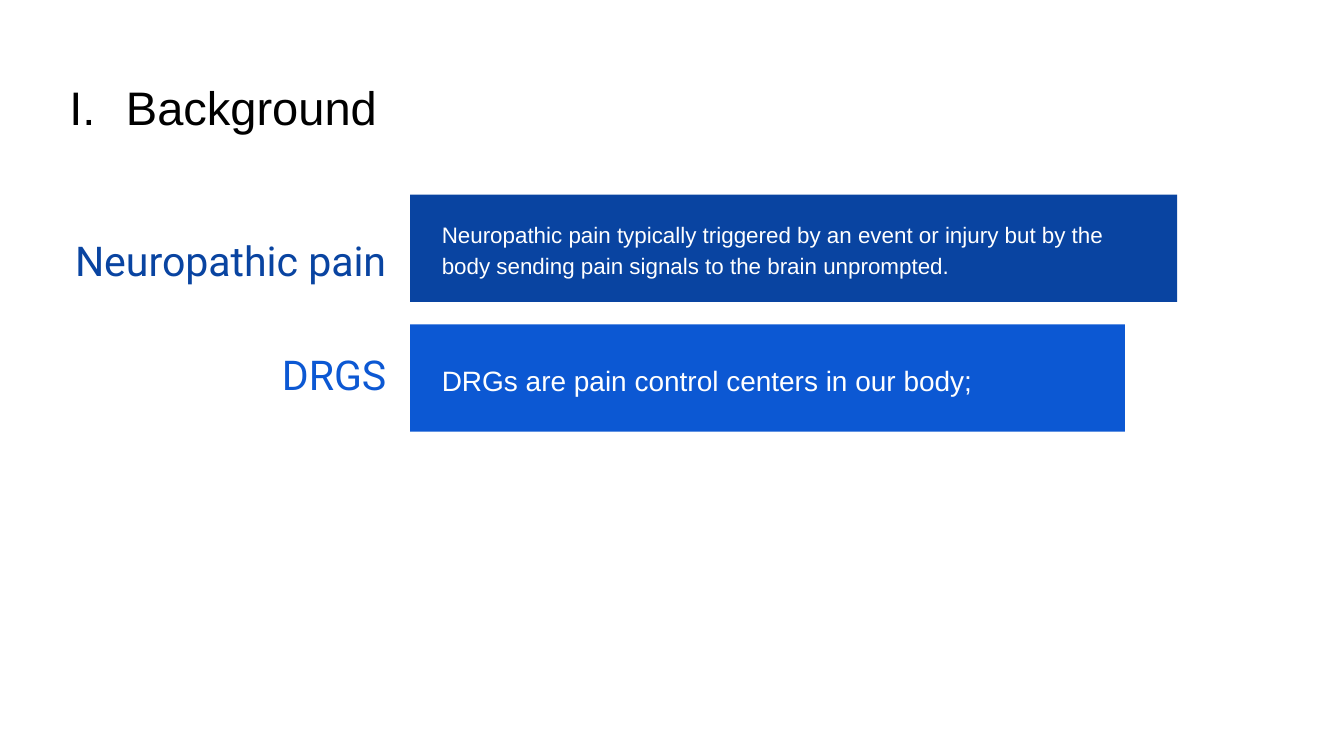
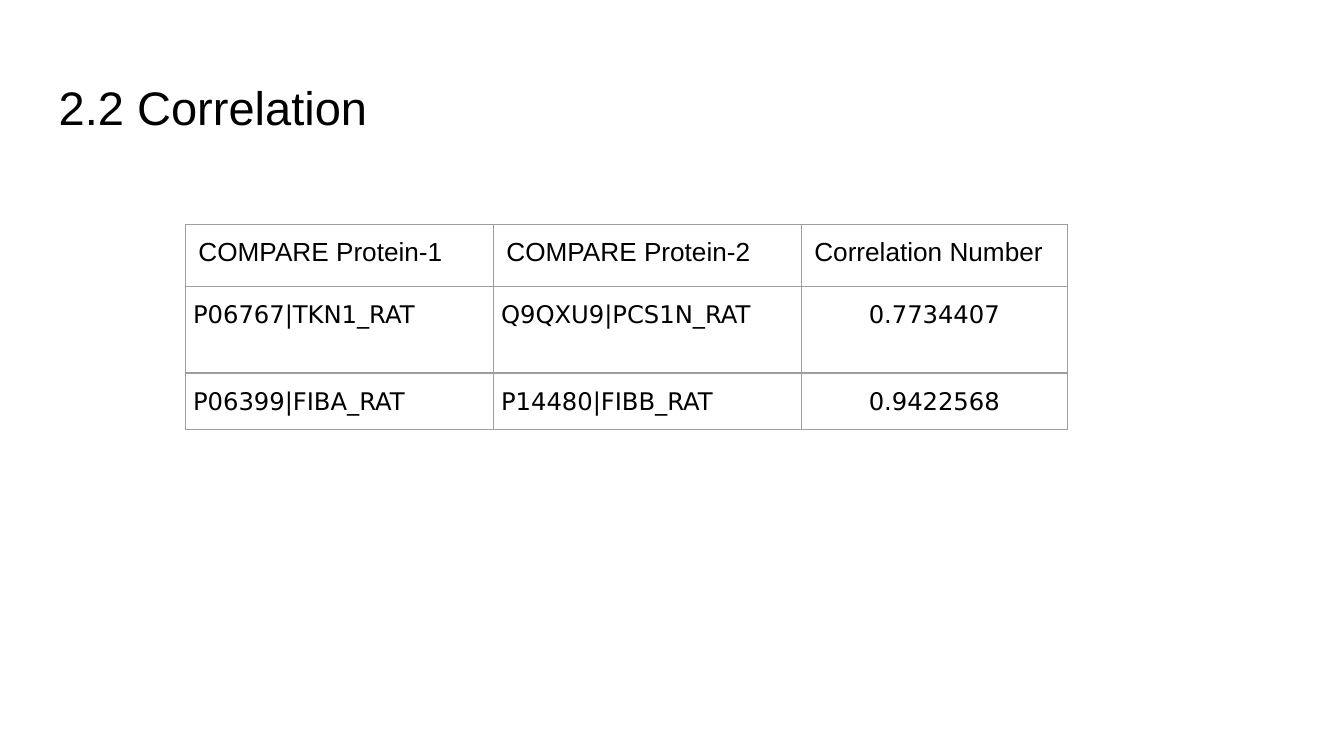
from dataclasses import dataclass

import lxml.etree
import pptx
import pptx.dml.color
import pptx.enum.shapes
import pptx.enum.text
import pptx.oxml
import pptx.oxml.ns
import pptx.util

Cm = pptx.util.Cm
Pt = pptx.util.Pt
Align = pptx.enum.text.PP_ALIGN
Anchor = pptx.enum.text.MSO_ANCHOR


@dataclass(frozen=True)
class Theme:
    """Colours, fonts and type sizes of the presentation."""

    black: str = "000000"
    white: str = "FFFFFF"
    navy: str = "0944A1"
    blue: str = "0C58D3"
    border: str = "9E9E9E"
    body_font: str = "Arial"
    label_font: str = "Roboto"
    data_font: str = "DejaVu Sans"
    title_size: float = 25.2
    label_size: float = 22
    label_space_size: float = 48
    header_size: float = 14
    data_size: float = 13


THEME = Theme()
WIDE_INSETS = (0.25, 0.25)
TEXT_INSETS = (0.25, 0.13)
DATA_INSETS = (0.15, 0.05)


def rgb(color):
    """Return a colour object for a hexadecimal string."""
    return pptx.dml.color.RGBColor.from_string(color)


def format_runs(paragraph, size, font, color):
    """Set the type of every run in a paragraph."""
    for run in paragraph.runs:
        run.font.size = Pt(size)
        run.font.name = font
        run.font.color.rgb = rgb(color)


def set_insets(target, insets):
    """Set horizontal and vertical margins of a text frame or cell."""
    horizontal, vertical = insets
    target.margin_left = target.margin_right = Cm(horizontal)
    target.margin_top = target.margin_bottom = Cm(vertical)


def add_title_slide(presentation, title):
    """Add a title-only slide with the shared title style."""
    slide = presentation.slides.add_slide(presentation.slide_layouts[5])
    shape = slide.shapes.title
    shape.left, shape.top, shape.width, shape.height = map(Cm, (0.86, 1.24, 23.67, 1.6))
    frame = shape.text_frame
    frame.text = title
    frame.word_wrap = True
    frame.auto_size = pptx.enum.text.MSO_AUTO_SIZE.NONE
    frame.vertical_anchor = Anchor.TOP
    set_insets(frame, WIDE_INSETS)
    paragraph = frame.paragraphs[0]
    paragraph.alignment = Align.LEFT
    format_runs(paragraph, THEME.title_size, THEME.body_font, THEME.black)
    return slide


def number_title(paragraph):
    """Give a paragraph a Roman numeral with a hanging indent."""
    properties = paragraph._p.get_or_add_pPr()
    properties.set("marL", str(Cm(1.27)))
    properties.set("indent", str(-Cm(1.07)))
    numbering = lxml.etree.SubElement(properties, pptx.oxml.ns.qn("a:buAutoNum"))
    numbering.set("type", "romanUcPeriod")


def add_text(shapes, box, text, size, font, color, alignment, spacing):
    """Add a middle-anchored text box and return its paragraph."""
    frame = shapes.add_textbox(*map(Cm, box)).text_frame
    frame.word_wrap = True
    frame.vertical_anchor = Anchor.MIDDLE
    set_insets(frame, TEXT_INSETS)
    paragraph = frame.paragraphs[0]
    paragraph.text = text
    paragraph.alignment = alignment
    paragraph.line_spacing = spacing
    format_runs(paragraph, size, font, color)
    return paragraph


def add_definition(slide, box, color, label, label_width, text, text_size, text_box):
    """Add a bar with its definition and a label to its left, as one group."""
    left, top, width, height = box
    text_width, text_height = text_box
    shapes = slide.shapes.add_group_shape().shapes
    label_box = (left - 0.2 - label_width, top + 0.13, label_width, 1.75)
    label_paragraph = add_text(shapes, label_box, label, THEME.label_size,
                               THEME.label_font, color, Align.RIGHT, 0.9)
    bar = shapes.add_shape(pptx.enum.shapes.MSO_SHAPE.RECTANGLE, *map(Cm, box))
    bar.shadow.inherit = False
    bar.fill.solid()
    bar.fill.fore_color.rgb = rgb(color)
    bar.line.fill.background()
    inner_box = (left + 0.35, top + (height - text_height) / 2, text_width, text_height)
    paragraph = add_text(shapes, inner_box, text, text_size, THEME.body_font,
                         THEME.white, Align.LEFT, 1.15)
    return label_paragraph, paragraph


def add_borders(cell):
    """Draw a thin grey line on the four sides of a cell."""
    properties = cell._tc.get_or_add_tcPr()
    for side in ("lnL", "lnR", "lnT", "lnB"):
        properties.append(pptx.oxml.parse_xml(
            f'<a:{side} {pptx.oxml.ns.nsdecls("a")} w="{Pt(0.75)}"><a:solidFill>'
            f'<a:srgbClr val="{THEME.border}"/></a:solidFill></a:{side}>'))


def add_correlation_table(slide, box, column_widths, row_heights, rows):
    """Add a bordered table with a header row and centred last column."""
    frame = slide.shapes.add_table(len(rows), len(column_widths), *map(Cm, box))
    table = frame.table
    table.first_row = table.horz_banding = False
    for column, width in zip(table.columns, column_widths):
        column.width = Cm(width)
    for row, height in zip(table.rows, row_heights):
        row.height = Cm(height)
    for row_index, values in enumerate(rows):
        for column_index, value in enumerate(values):
            cell = table.cell(row_index, column_index)
            add_borders(cell)
            cell.fill.background()
            cell.text = value
            paragraph = cell.text_frame.paragraphs[0]
            if row_index == 0:
                set_insets(cell, WIDE_INSETS)
                format_runs(paragraph, THEME.header_size, THEME.body_font, THEME.black)
                continue
            set_insets(cell, DATA_INSETS)
            paragraph.line_spacing = 1.45
            if column_index == len(values) - 1:
                paragraph.alignment = Align.CENTER
            format_runs(paragraph, THEME.data_size, THEME.data_font, THEME.black)


def build_background(presentation):
    """Build the slide that defines neuropathic pain and DRGs."""
    slide = add_title_slide(presentation, "Background")
    number_title(slide.shapes.title.text_frame.paragraphs[0])
    left, top, height, pitch = 7.75, 3.68, 2.03, 2.45
    label, _ = add_definition(
        slide, (left, top, 14.5, height), THEME.navy, "Neuropathic pain", 6.48,
        "Neuropathic pain typically triggered by an event or injury but by the "
        "body sending pain signals to the brain unprompted.", 12, (13.23, 1.6))
    space = label.add_run()
    space.text = " "
    space.font.size = Pt(THEME.label_space_size)
    space.font.name = THEME.label_font
    _, definition = add_definition(
        slide, (left, top + pitch, 13.51, height), THEME.blue, "DRGS", 7.55,
        "DRGs are pain control centers in our body;", 15, (12.14, 0.91))
    definition.space_after = Pt(6)


def build_correlation(presentation):
    """Build the slide with the table of protein correlations."""
    slide = add_title_slide(presentation, "2.2 Correlation")
    widths = (5.82, 5.82, 5.03)
    heights = (1.17, 1.64, 1.07)
    rows = (
        ("COMPARE Protein-1", "COMPARE Protein-2", "Correlation Number"),
        ("P06767|TKN1_RAT", "Q9QXU9|PCS1N_RAT", "0.7734407"),
        ("P06399|FIBA_RAT", "P14480|FIBB_RAT", "0.9422568"),
    )
    box = (3.5, 4.24, sum(widths), sum(heights))
    add_correlation_table(slide, box, widths, heights, rows)


def main():
    """Build and save the presentation."""
    presentation = pptx.Presentation()
    presentation.slide_width = Cm(25.4)
    presentation.slide_height = Cm(14.29)
    build_background(presentation)
    build_correlation(presentation)
    presentation.save("out.pptx")


if __name__ == "__main__":
    main()
